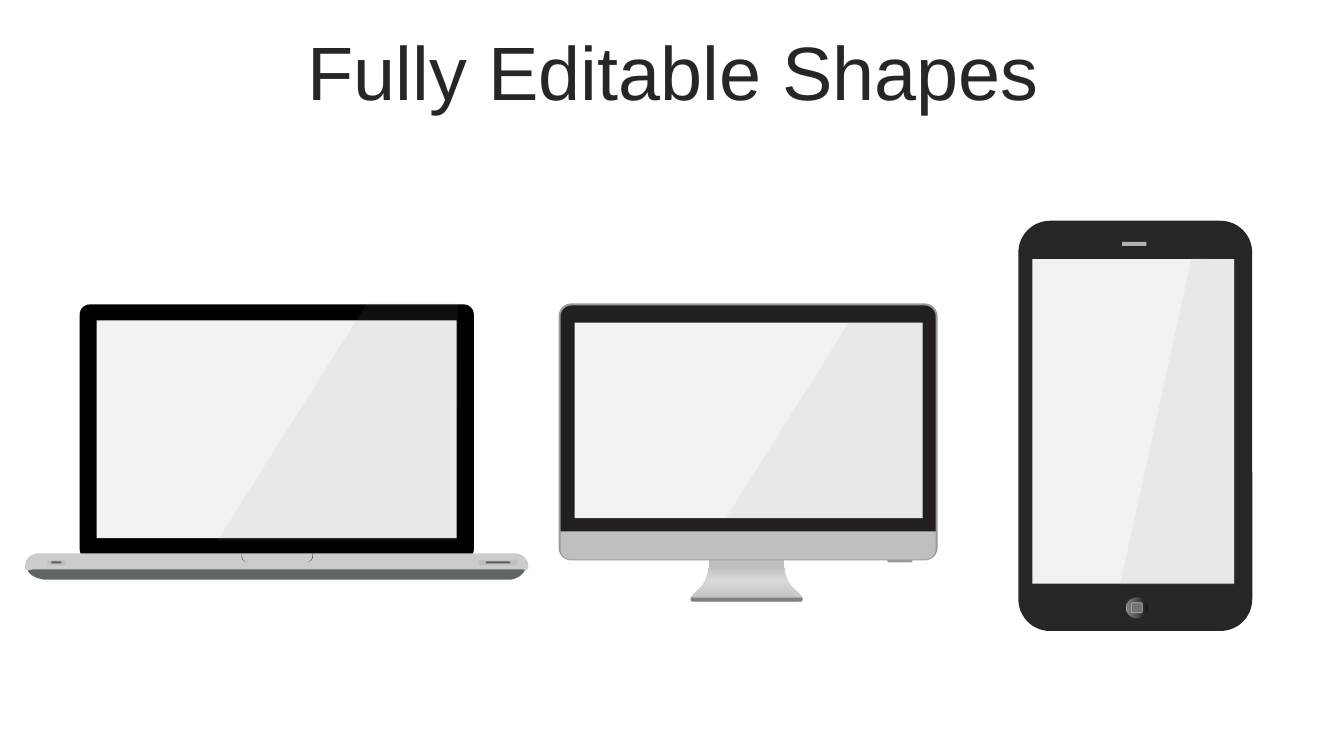
from lxml.etree import SubElement
from pptx import Presentation
from pptx.dml.color import RGBColor
from pptx.enum.shapes import MSO_SHAPE
from pptx.enum.text import MSO_ANCHOR, PP_ALIGN
from pptx.oxml.ns import qn
from pptx.util import Cm, Pt

INCH = 2.54
TITLE = "Fully Editable Shapes"
RECT, OVAL = MSO_SHAPE.RECTANGLE, MSO_SHAPE.OVAL
ROUND, ENDS = MSO_SHAPE.ROUNDED_RECTANGLE, MSO_SHAPE.ROUND_2_SAME_RECTANGLE

# Outlines in inches: two numbers are a corner, six are a Bezier curve
BASE = [(5.07, 5.75), (5.07, 5.75, 5.17, 5.74, 5.21, 5.65),
        (5.21, 5.63, 5.19, 5.61, 5.16, 5.61), (0.33, 5.63),
        (0.3, 5.63, 0.28, 5.64, 0.28, 5.67),
        (0.31, 5.72, 0.38, 5.74, 0.43, 5.75)]
DECK = [(0.38, 5.49), (5.11, 5.49), (5.18, 5.49, 5.24, 5.55, 5.24, 5.61),
        (5.24, 5.64), (5.24, 5.64, 5.25, 5.66, 5.19, 5.65), (0.32, 5.65),
        (0.28, 5.66, 0.25, 5.66, 0.25, 5.63), (0.25, 5.61),
        (0.25, 5.54, 0.31, 5.49, 0.38, 5.49)]
HOOK = [(2.4, 5.49), (2.4, 5.49, 2.38, 5.55, 2.43, 5.57), (2.45, 5.57),
        (2.41, 5.57, 2.4, 5.54, 2.4, 5.49)]
LATCH = [HOOK, [(5.5 - x, *rest) if not rest[1:] else
                (5.5 - x, rest[0], 5.5 - rest[1], rest[2], 5.5 - rest[3], rest[4])
                for x, *rest in HOOK]]
STAND = [(7.85, 5.82), (7.77, 5.74, 7.77, 5.56, 7.77, 5.56), (7.04, 5.56),
         (7.04, 5.56, 7.04, 5.73, 6.96, 5.82),
         (6.88, 5.9, 6.76, 5.97, 6.97, 5.97), (7.84, 5.97),
         (8.05, 5.97, 7.93, 5.9, 7.85, 5.82)]
STEEL = (90, [(0, "BFBFBF"), (53, "D9D9D9"), (83, "BFBFBF"), (100, "BFBFBF")])
KNOB = (180, [(0, "0F0F0F"), (56, "595959"), (91, "808080"), (100, "BFBFBF")])
GLARE = {"fill": "999999", "alpha": 10}

# Each part: outline or (preset, left, top, width, height, corners), then format
LAPTOP = [
    ([BASE], {"fill": "5F6767"}),
    ((ROUND, 0.79, 3.02, 3.91, 2.53, [0.04]), {"fill": "000000"}),
    ((RECT, 0.96, 3.18, 3.57, 2.16, []), {"fill": "F2F2F2"}),
    ([DECK], {"fill": "CCCCCC"}),
    (LATCH, {"fill": "4D4D4D"}),
    ((ROUND, 0.47, 5.56, 0.18, 0.05, [0.28]), {"fill": "BFBFBF"}),
    ((ROUND, 0.51, 5.57, 0.1, 0.02, [0.28]), {"fill": "595959"}),
    ((ROUND, 4.75, 5.56, 0.38, 0.05, [0.28]), {"fill": "BFBFBF"}),
    ((ROUND, 4.82, 5.57, 0.24, 0.02, [0.28]), {"fill": "595959"}),
    ([[(3.64, 3.01), (4.54, 3.01), (4.53, 5.36), (2.16, 5.36)]], GLARE),
]
MONITOR = [
    ([STAND], {"fill": STEEL}),
    ((ROUND, 5.54, 3.01, 3.76, 2.55, [0.05]), {"fill": "999999"}),
    ((ENDS, 8.8, 5.55, 0.25, 0.03, [0, 0.5]), {"fill": "999999"}),
    ((ENDS, 5.56, 3.03, 3.72, 2.24, [0.05, 0]), {"fill": "231F20"}),
    ((ENDS, 6.85, 5.93, 1.11, 0.04, [0, 0.5]), {"fill": "808080"}),
    ((ENDS, 5.56, 5.28, 3.72, 0.27, [0, 0.38]), {"fill": "BFBFBF"}),
    ((RECT, 5.7, 3.2, 3.45, 1.94, []), {"fill": "F2F2F2"}),
    ([[(8.42, 3.2), (9.16, 3.2), (9.15, 5.14), (7.2, 5.14)]], GLARE),
]
PHONE = [
    ((ROUND, 10.1, 2.19, 2.32, 4.07, [0.136]), {"fill": "262626"}),
    ((RECT, 11.13, 2.4, 0.24, 0.04, []), {"fill": "B0B0B0"}),
    ((OVAL, 11.16, 5.92, 0.23, 0.22, []), {"fill": KNOB, "line": ("262626", 0)}),
    ((ROUND, 11.22, 5.98, 0.11, 0.1, []), {"fill": "737373", "line": ("B0B0B0", 0.5)}),
    ((RECT, 10.24, 2.57, 2, 3.22, []), {"fill": "F2F2F2"}),
    ([[(11.82, 2.56), (12.25, 2.57), (12.25, 5.8), (11.11, 5.8)]], GLARE),
]


def size(value):
    return Cm(value * INCH)


def color(code):
    return RGBColor.from_string(code)


def trace(outline, steps=10):
    """Turn corners and curves into a list of points in slide units."""
    spots = []
    for part in outline:
        if len(part) == 2:
            spots.append(part)
            continue
        knots = [spots[-1], part[:2], part[2:4], part[4:]]
        for step in range(1, steps + 1):
            t = step / steps
            mix = ((1 - t) ** 3, 3 * t * (1 - t) ** 2, 3 * t * t * (1 - t), t ** 3)
            spots.append(tuple(sum(m * k[axis] for m, k in zip(mix, knots))
                               for axis in (0, 1)))
    return [(size(x), size(y)) for x, y in spots]


def draw(shapes, outlines):
    """Draw one freeform made of closed outlines."""
    first, *others = [trace(outline) for outline in outlines]
    pen = shapes.build_freeform(*first[0], scale=1.0)
    pen.add_line_segments(first[1:], close=True)
    for spots in others:
        pen.move_to(*spots[0])
        pen.add_line_segments(spots[1:], close=True)
    return pen.convert_to_shape()


def paint(shape, fill, line=None, alpha=None):
    shape.shadow.inherit = False
    if isinstance(fill, tuple):
        angle, stops = fill
        shape.fill.gradient()
        shape.fill.gradient_angle = angle
        ramp = next(shape._element.spPr.iter(qn("a:gsLst")))
        for old in list(ramp):
            ramp.remove(old)
        for place, code in stops:
            stop = SubElement(ramp, qn("a:gs"), pos=str(place * 1000))
            SubElement(stop, qn("a:srgbClr"), val=code)
    else:
        shape.fill.solid()
        shape.fill.fore_color.rgb = color(fill)
    if alpha:
        tint = next(shape._element.spPr.iter(qn("a:srgbClr")))
        SubElement(tint, qn("a:alpha"), val=str(alpha * 1000))
    if line:
        shape.line.color.rgb = color(line[0])
        shape.line.width = Pt(line[1])
    else:
        shape.line.fill.background()


def build(slide, parts):
    """Add one device as a group of parts."""
    shapes = slide.shapes.add_group_shape().shapes
    for form, style in parts:
        if isinstance(form, list):
            shape = draw(shapes, form)
        else:
            kind, *box, bends = form
            shape = shapes.add_shape(kind, *map(size, box))
            for index, bend in enumerate(bends):
                shape.adjustments[index] = bend
        paint(shape, **style)


def write(slide, text, box, font="Arial", points=18, ink="000000", align=PP_ALIGN.LEFT):
    frame = slide.shapes.add_textbox(*map(size, box)).text_frame
    frame.word_wrap = True
    frame.vertical_anchor = MSO_ANCHOR.MIDDLE
    line = frame.paragraphs[0]
    line.alignment = align
    line.line_spacing = 0.9
    run = line.add_run()
    run.text = text
    run.font.name, run.font.size = font, Pt(points)
    run.font.color.rgb = color(ink)


def main():
    deck = Presentation()
    deck.slide_width, deck.slide_height = size(13.33), size(7.5)
    slide = deck.slides.add_slide(deck.slide_layouts[6])
    write(slide, TITLE, (0.35, 0.36, 12.66, 0.79), points=54, ink="262626",
          align=PP_ALIGN.CENTER)
    for parts in (LAPTOP, MONITOR, PHONE):
        build(slide, parts)
    deck.save("out.pptx")


if __name__ == "__main__":
    main()
